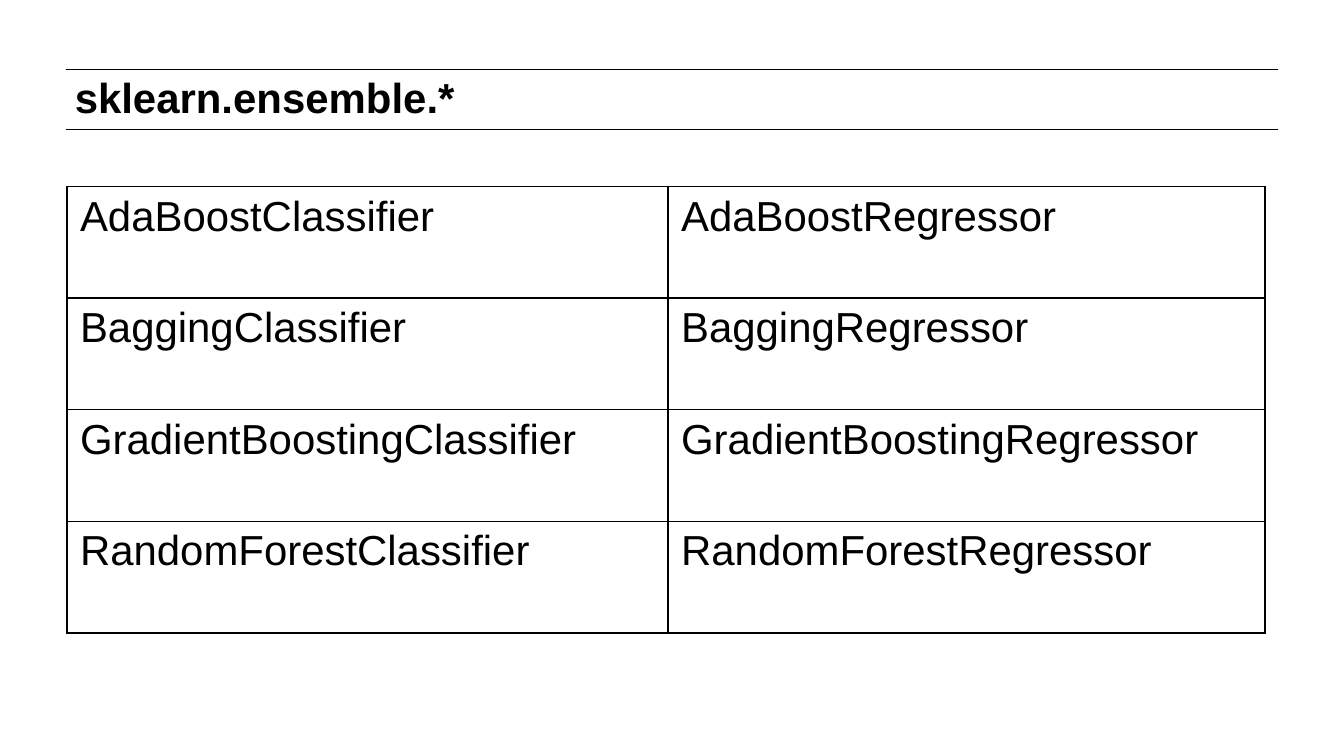
from lxml.etree import SubElement
from pptx import Presentation
from pptx.dml.color import RGBColor
from pptx.enum.shapes import MSO_CONNECTOR
from pptx.enum.text import MSO_ANCHOR
from pptx.oxml.ns import qn
from pptx.util import Inches, Pt

BLACK = RGBColor(0x00, 0x00, 0x00)
FONT = "Arial"
TEXT_SIZE = Pt(23)
ENSEMBLES = ["AdaBoost", "Bagging", "GradientBoosting", "RandomForest"]
KINDS = ["Classifier", "Regressor"]


def add_text(paragraph, text, bold=False):
    run = paragraph.add_run()
    run.text = text
    run.font.name = FONT
    run.font.size = TEXT_SIZE
    run.font.bold = bold
    run.font.color.rgb = BLACK


def add_rule(slide, left, top, width):
    rule = slide.shapes.add_connector(
        MSO_CONNECTOR.STRAIGHT, left, top, left + width, top)
    rule.line.color.rgb = BLACK
    rule.line.width = Pt(0.5)
    SubElement(rule._element.spPr, qn("a:effectLst"))


def add_heading(slide, text, left, top, width, height):
    for rule_top in (top, top + height):
        add_rule(slide, left, rule_top, width)
    box = slide.shapes.add_textbox(
        left + Inches(0.01), top + Inches(0.02), Inches(8.61), Inches(0.52))
    frame = box.text_frame
    frame.word_wrap = True
    frame.vertical_anchor = MSO_ANCHOR.TOP
    frame.margin_left = frame.margin_right = Inches(0.06)
    frame.margin_top = frame.margin_bottom = Inches(0.06)
    paragraph = frame.paragraphs[0]
    paragraph.line_spacing = TEXT_SIZE
    add_text(paragraph, text, bold=True)


def add_borders(cell):
    properties = cell._tc.get_or_add_tcPr()
    for side in ("L", "R", "T", "B"):
        border = SubElement(properties, qn(f"a:ln{side}"), w=str(Pt(1)))
        fill = SubElement(border, qn("a:solidFill"))
        SubElement(fill, qn("a:srgbClr"), val=str(BLACK))


def add_class_table(slide, left, top, column_widths, row_height):
    table = slide.shapes.add_table(
        len(ENSEMBLES), len(KINDS), left, top,
        sum(column_widths), row_height * len(ENSEMBLES)).table
    table.first_row = False
    table.horz_banding = False
    for column, width in zip(table.columns, column_widths):
        column.width = width
    for row, ensemble in zip(table.rows, ENSEMBLES):
        row.height = row_height
        for cell, kind in zip(row.cells, KINDS):
            add_borders(cell)
            cell.fill.background()
            add_text(cell.text_frame.paragraphs[0], ensemble + kind)


def main():
    presentation = Presentation()
    presentation.slide_width = Inches(10.24)
    presentation.slide_height = Inches(5.75)
    slide = presentation.slides.add_slide(presentation.slide_layouts[6])
    add_heading(slide, "sklearn.ensemble.*",
                Inches(0.5), Inches(0.53), Inches(9.24), Inches(0.46))
    add_class_table(slide, Inches(0.51), Inches(1.42),
                    [Inches(4.58), Inches(4.55)], Inches(0.85))
    presentation.save("out.pptx")


if __name__ == "__main__":
    main()
